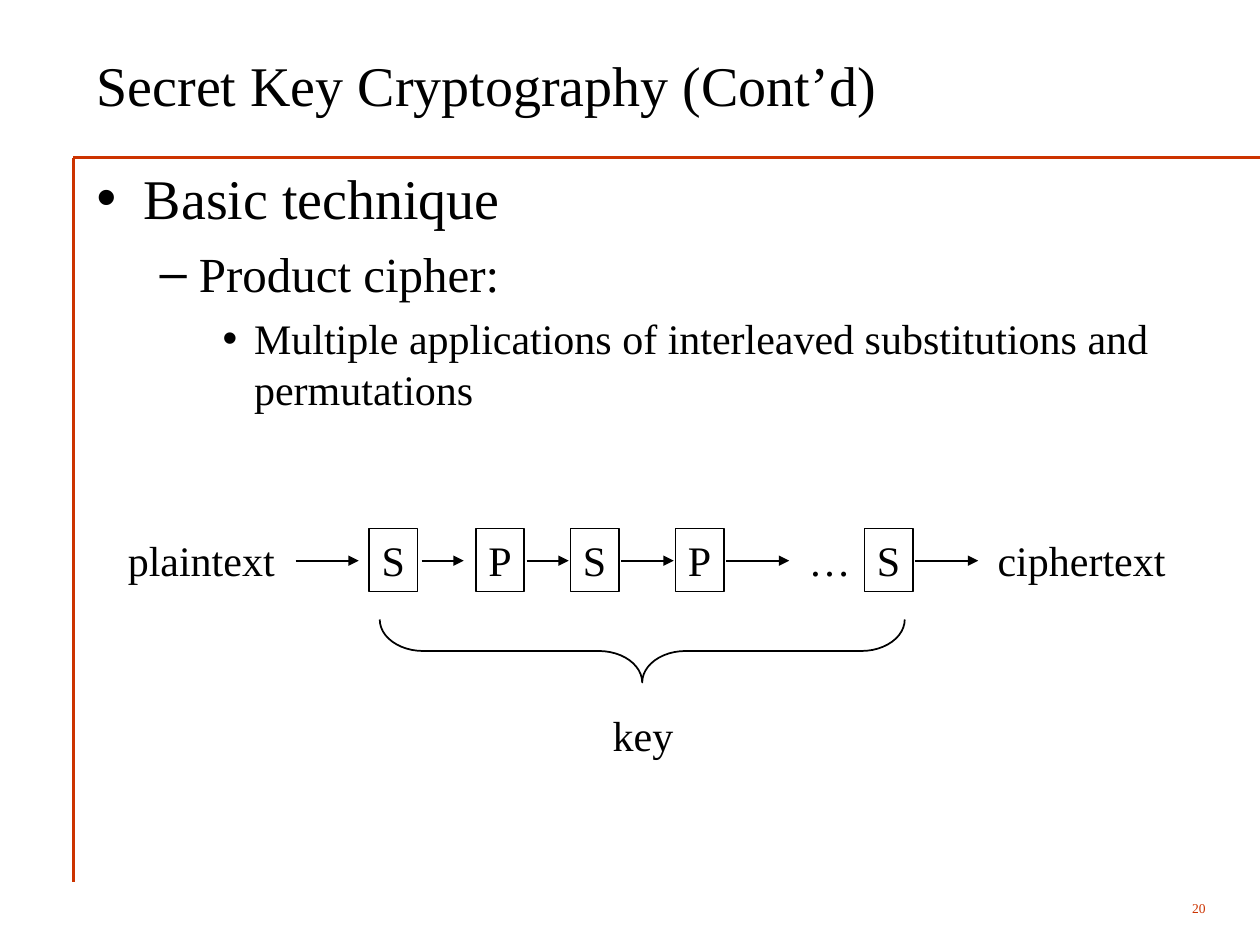
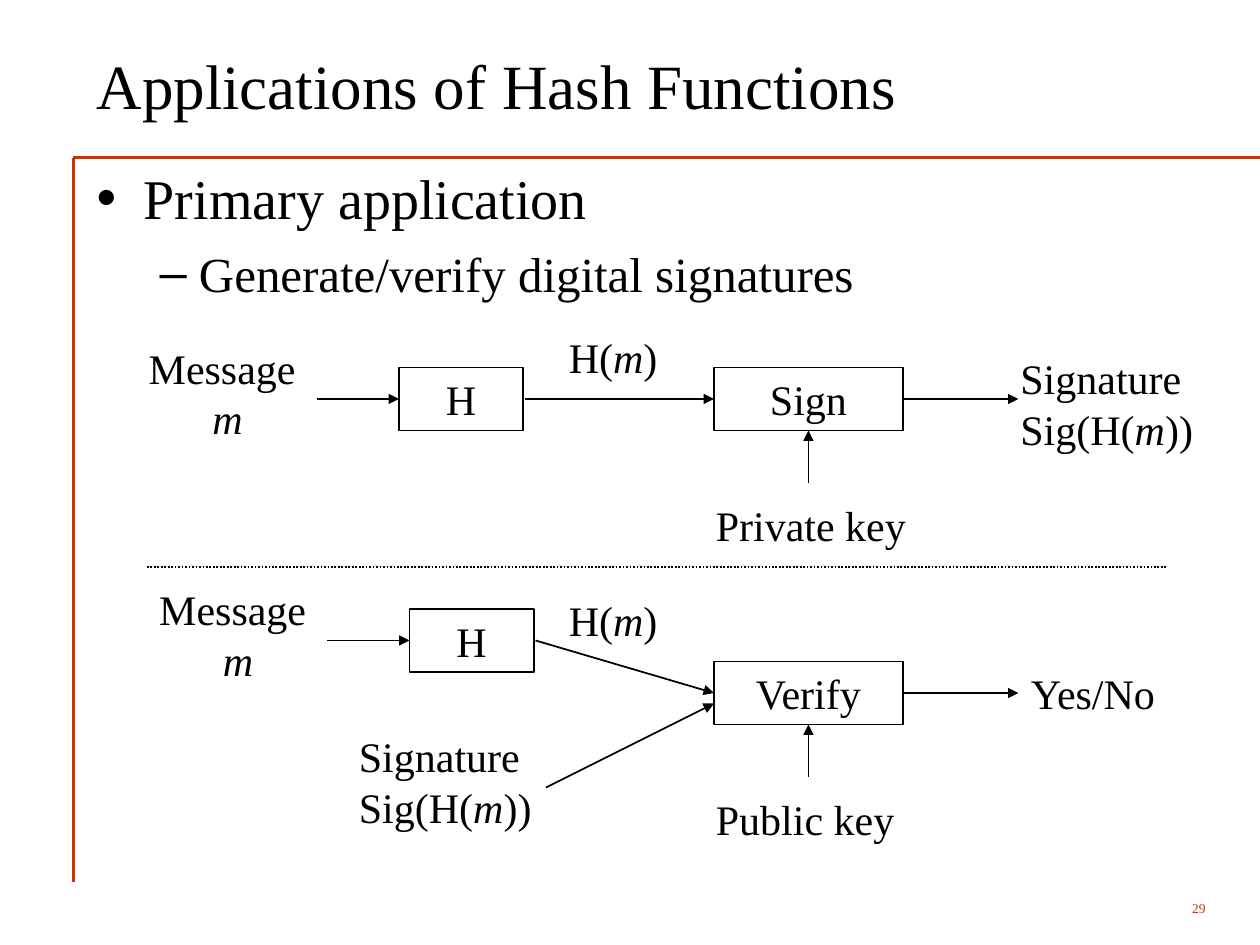
from dataclasses import dataclass

from lxml import etree
from pptx import Presentation
from pptx.dml.color import RGBColor
from pptx.enum.dml import MSO_LINE
from pptx.enum.shapes import MSO_CONNECTOR, MSO_SHAPE
from pptx.enum.text import MSO_ANCHOR, MSO_AUTO_SIZE, PP_ALIGN
from pptx.oxml.ns import qn
from pptx.util import Pt

STRAIGHT = MSO_CONNECTOR.STRAIGHT
RECT, BRACE = MSO_SHAPE.RECTANGLE, MSO_SHAPE.LEFT_BRACE
TOP, MIDDLE = MSO_ANCHOR.TOP, MSO_ANCHOR.MIDDLE
LEFT, CENTER, RIGHT = PP_ALIGN.LEFT, PP_ALIGN.CENTER, PP_ALIGN.RIGHT
NO_FIT, GROW = MSO_AUTO_SIZE.NONE, MSO_AUTO_SIZE.SHAPE_TO_FIT_TEXT
DOTTED = MSO_LINE.ROUND_DOT


@dataclass
class Theme:
    font: str = "Times New Roman"
    ink: RGBColor = RGBColor(0x00, 0x00, 0x00)
    accent: RGBColor = RGBColor(0xCC, 0x33, 0x00)
    frame_width: float = 1.25
    diagram: float = 24
    page: float = 7.7
    # Per list level: type size, space before, left margin, hanging indent, bullet
    levels: tuple = ((32, 8, 27, 27, "•"), (28, 7, 58.5, 22.5, "–"), (24, 6, 90, 18, "•"))


theme = Theme()


def write(p, text, size, color=theme.ink, align=LEFT):
    """Fill a paragraph; parts between asterisks become italic."""
    p.alignment = align
    for i, part in enumerate(text.split("*")):
        if part:
            r = p.add_run()
            r.text = part
            r.font.name, r.font.size = theme.font, Pt(size)
            r.font.color.rgb = color
            r.font.italic = i % 2 == 1


def add_line(s, x1, y1, x2, y2, color=theme.ink, width=1, arrow=False):
    line = s.shapes.add_connector(STRAIGHT, Pt(x1), Pt(y1), Pt(x2), Pt(y2))
    line.line.color.rgb = color
    line.line.width = Pt(width)
    if arrow:
        etree.SubElement(line.line._get_or_add_ln(), qn("a:tailEnd"), type="triangle")
    etree.SubElement(line._element.spPr, qn("a:effectLst"))
    return line


# Boxes: text, left, top, width. Labels: text, left, top, width, alignment.
# Arrows: x and y of the start, then of the tip.
row_y, row_mid = 302, 320.4
cipher_slide = {
    "title": "Secret Key Cryptography (Cont’d)", "title_size": 32, "page": "20",
    "bullets": ["Basic technique", "Product cipher:",
                "Multiple applications of interleaved substitutions and permutations"],
    "boxes": [(name, x, row_y, 27.6)
              for name, x in zip("SPSPS", (211, 272, 326, 386, 494))],
    "labels": [("plaintext", 66, row_y, 100, LEFT), ("…", 455, row_y, 39, LEFT),
               ("ciphertext", 563, row_y, 112, LEFT), ("key", 343, 402, 51, LEFT)],
    "arrows": [(x1, row_mid, x2, row_mid) for x1, x2 in (
        (169, 205), (241, 265), (301, 325), (355, 385), (415, 451), (523, 559))],
}

message, digest, signature = "Message\n *m*", "H(*m*)", "Signature\nSig(H(*m*))"
hash_slide = {
    "title": "Applications of Hash Functions", "title_size": 36, "page": "29",
    "bullets": ["Primary application", "Generate/verify digital signatures"],
    "boxes": [("H", 228, 210, 71), ("Sign", 408, 210, 108),
              ("H", 234, 348, 71), ("Verify", 408, 378, 108)],
    "labels": [(message, 77, 192, 100, CENTER), (digest, 318, 186, 67, LEFT),
               ("Private key", 402, 282, 125, LEFT), (signature, 576, 198, 115, LEFT),
               (message, 83, 330, 100, CENTER), (digest, 318, 336, 67, LEFT),
               ("Public key", 402, 450, 119, LEFT), (signature, 198, 414, 115, LEFT),
               ("Yes/No", 582, 378, 90, LEFT)],
    "arrows": [(181, 228, 228, 228), (300, 228, 408, 228), (516, 228, 582, 228),
               (462, 276, 462, 246), (187, 366, 234, 366), (306, 366, 408, 396),
               (312, 450, 408, 402), (516, 396, 582, 396), (462, 444, 462, 414)],
}

prs = Presentation()
prs.slide_width, prs.slide_height = Pt(720), Pt(540)

for content in (cipher_slide, hash_slide):
    s = prs.slides.add_slide(prs.slide_layouts[1])
    title, body = s.placeholders

    # Frame lines and page number
    for end in ((720, 90), (42, 504)):
        add_line(s, 42, 90, *end, theme.accent, theme.frame_width)
    sp = s.shapes.add_textbox(Pt(636), Pt(510), Pt(60), Pt(18))
    tf = sp.text_frame
    tf.word_wrap, tf.vertical_anchor = True, MIDDLE
    write(tf.paragraphs[0], content["page"], theme.page, theme.accent, RIGHT)

    # Title and list
    title.left, title.top, title.width, title.height = Pt(48), Pt(12), Pt(649), Pt(72)
    tf = title.text_frame
    tf.auto_size, tf.vertical_anchor = NO_FIT, MIDDLE
    write(tf.paragraphs[0], content["title"], content["title_size"])

    body.left, body.top, body.width, body.height = Pt(48), Pt(90), Pt(650), Pt(390)
    tf = body.text_frame
    tf.auto_size, tf.vertical_anchor = NO_FIT, TOP
    for level, text in enumerate(content["bullets"]):
        size, before, margin, hang, bullet = theme.levels[level]
        p = tf.add_paragraph() if level else tf.paragraphs[0]
        p.level = level
        pPr = p._p.get_or_add_pPr()
        pPr.set("marL", str(Pt(margin)))
        pPr.set("indent", str(-Pt(hang)))
        etree.SubElement(pPr, qn("a:buChar"), char=bullet)
        p.space_before = Pt(before if level else 0)
        write(p, text, size)

    # Diagram
    for text, x, y, w in content["boxes"]:
        sp = s.shapes.add_shape(RECT, Pt(x), Pt(y), Pt(w), Pt(36))
        sp.shadow.inherit = False
        sp.fill.background()
        sp.line.color.rgb, sp.line.width = theme.ink, Pt(1)
        tf = sp.text_frame
        tf.word_wrap, tf.vertical_anchor = False, TOP
        write(tf.paragraphs[0], text, theme.diagram, align=CENTER)

    for text, x, y, w, align in content["labels"]:
        lines = text.split("\n")
        sp = s.shapes.add_textbox(Pt(x), Pt(y), Pt(w), Pt(7.2 + 28.8 * len(lines)))
        tf = sp.text_frame
        tf.word_wrap, tf.auto_size = False, GROW
        for i, line in enumerate(lines):
            p = tf.add_paragraph() if i else tf.paragraphs[0]
            write(p, line, theme.diagram, align=align)

    for ends in content["arrows"]:
        add_line(s, *ends, arrow=True)

# Brace that ties the key to every cipher stage
brace = prs.slides[0].shapes.add_shape(BRACE, Pt(349), Pt(222), Pt(36), Pt(300))
brace.rotation = 270
brace.adjustments[0] = 0.69
brace.shadow.inherit = False
brace.fill.background()
brace.line.color.rgb, brace.line.width = theme.ink, Pt(1)

# Divider between signing and verifying
divider = add_line(prs.slides[1], 84, 324, 666, 324)
divider.line.dash_style = DOTTED

prs.save("out.pptx")
